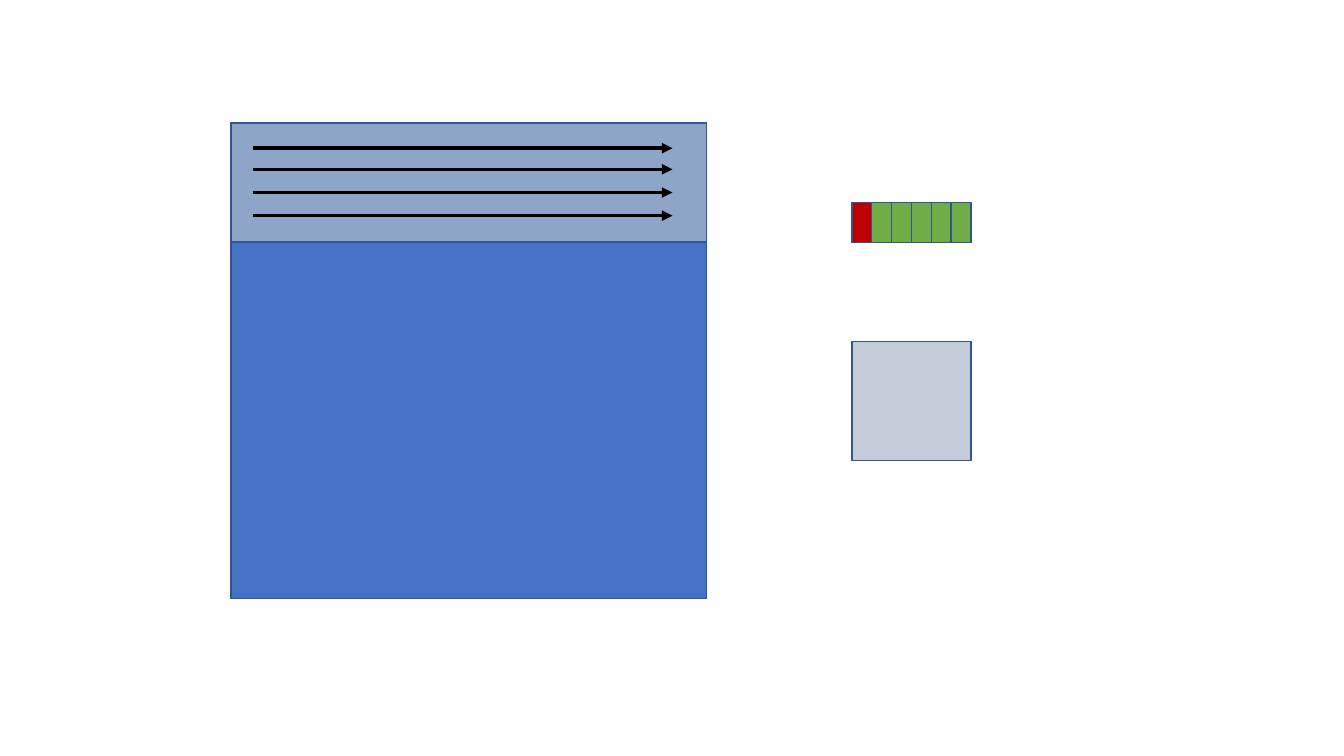
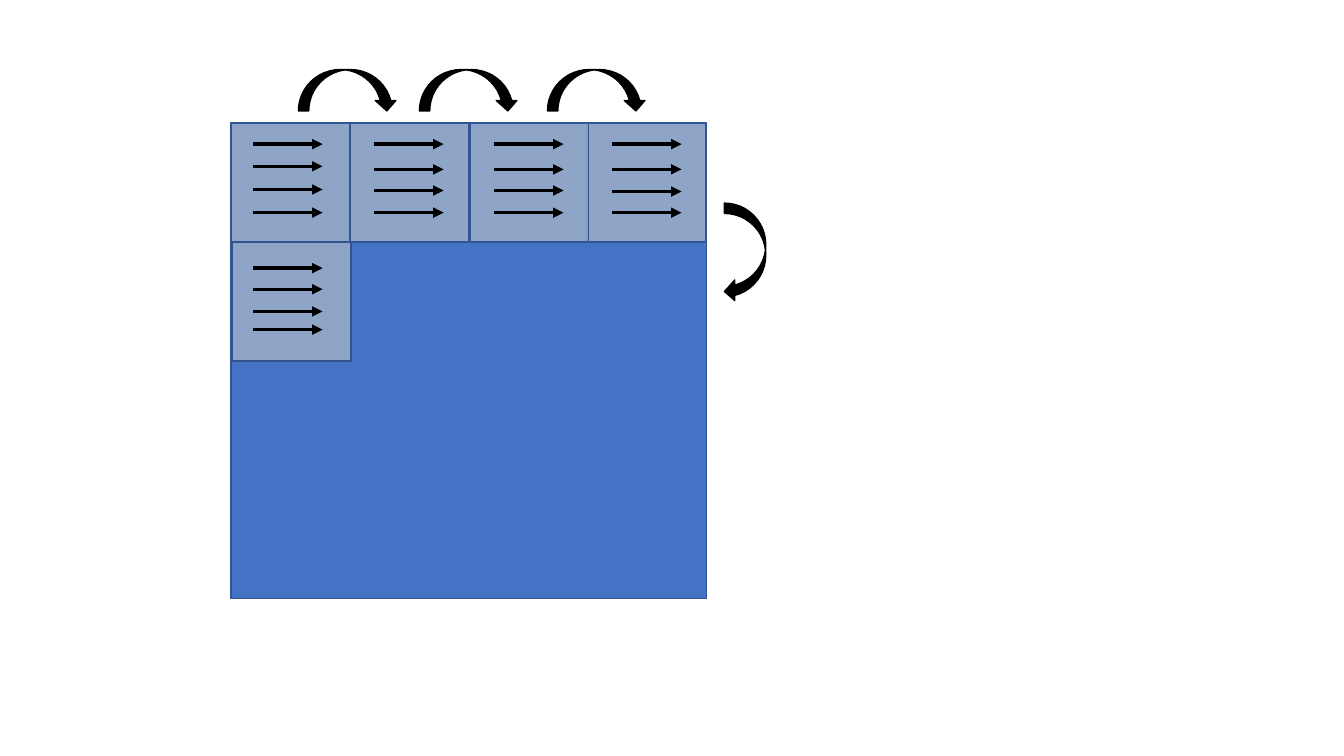
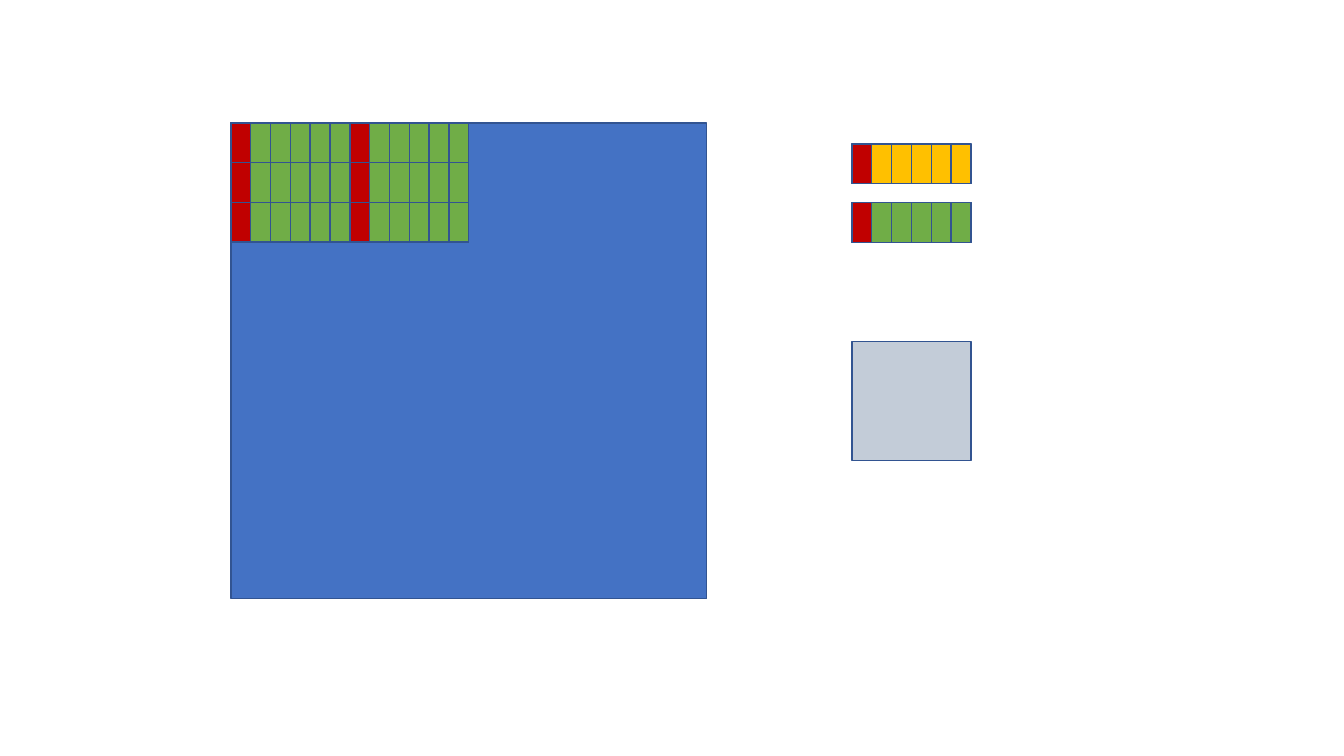
from dataclasses import dataclass

import lxml.etree
import pptx
import pptx.dml.color
import pptx.enum.shapes
import pptx.oxml.ns
import pptx.shapes.autoshape
import pptx.slide
import pptx.util

Inches = pptx.util.Inches
RGBColor = pptx.dml.color.RGBColor
Preset = pptx.enum.shapes.MSO_SHAPE
qn = pptx.oxml.ns.qn

BLUE = RGBColor(0x44, 0x72, 0xC4)
OUTLINE = RGBColor(0x32, 0x54, 0x91)
GREY = RGBColor(0xAD, 0xB9, 0xCA)
RED = RGBColor(0xC0, 0x00, 0x00)
GREEN = RGBColor(0x70, 0xAD, 0x47)
AMBER = RGBColor(0xFF, 0xC0, 0x00)
BLACK = RGBColor(0x00, 0x00, 0x00)

MATRIX_LEFT, MATRIX_TOP = 2.29, 1.22
TILE = 1.18
MATRIX_SIZE = 4 * TILE
STRIP_CELLS = 6
CELL_WIDTH = TILE / STRIP_CELLS
STRIP_HEIGHT = TILE / 3
LEGEND_LEFT = 8.45
GREY_OPACITY = 72


@dataclass(frozen=True)
class Box:
    left: float
    top: float
    width: float
    height: float


@dataclass(frozen=True)
class ScannedTile:
    left: float
    top: float
    scan_left: float
    scan_rows: tuple[float, ...]


@dataclass(frozen=True)
class Hop:
    left: float
    top: float
    rotation: float = 0


SCANNED_TILES = (
    ScannedTile(2.29, 1.22, 2.51, (1.43, 1.65, 1.88, 2.11)),
    ScannedTile(3.47, 1.22, 3.71, (1.43, 1.68, 1.89, 2.11)),
    ScannedTile(2.3, 2.4, 2.51, (2.66, 2.87, 3.09, 3.27)),
    ScannedTile(5.82, 1.22, 6.07, (1.43, 1.68, 1.9, 2.11)),
    ScannedTile(4.66, 1.22, 4.9, (1.43, 1.68, 1.89, 2.11)),
)
HOPS = (Hop(2.96, 0.69), Hop(4.16, 0.69), Hop(5.43, 0.69), Hop(6.9, 2.3, 90))


def draw_shape(
    slide: pptx.slide.Slide,
    box: Box,
    fill: RGBColor,
    outline: RGBColor = OUTLINE,
    preset: Preset = Preset.RECTANGLE,
) -> pptx.shapes.autoshape.Shape:
    shape = slide.shapes.add_shape(
        preset, Inches(box.left), Inches(box.top), Inches(box.width), Inches(box.height)
    )
    shape.shadow.inherit = False
    shape.fill.solid()
    shape.fill.fore_color.rgb = fill
    shape.line.color.rgb = outline
    shape.line.width = pptx.util.Pt(1)
    return shape


def draw_block(slide: pptx.slide.Slide, box: Box) -> None:
    block = draw_shape(slide, box, GREY)
    color = block.fill._xPr.find(qn("a:solidFill"))[0]
    lxml.etree.SubElement(color, qn("a:alpha"), val=str(GREY_OPACITY * 1000))


def draw_matrix(slide: pptx.slide.Slide) -> None:
    draw_shape(slide, Box(MATRIX_LEFT, MATRIX_TOP, MATRIX_SIZE, MATRIX_SIZE), BLUE)


def draw_legend_block(slide: pptx.slide.Slide) -> None:
    draw_block(slide, Box(LEGEND_LEFT, 3.39, TILE, TILE))


def draw_strip(
    slide: pptx.slide.Slide, left: float, top: float, rest: RGBColor = GREEN
) -> None:
    draw_shape(slide, Box(left, top, TILE, STRIP_HEIGHT), BLUE)
    for index in range(STRIP_CELLS):
        cell = Box(left + index * CELL_WIDTH, top, CELL_WIDTH, STRIP_HEIGHT)
        draw_shape(slide, cell, rest if index else RED)


def draw_scan(
    slide: pptx.slide.Slide, left: float, length: float, rows: tuple[float, ...]
) -> None:
    for row in rows:
        arrow = slide.shapes.add_connector(
            pptx.enum.shapes.MSO_CONNECTOR.STRAIGHT,
            Inches(left), Inches(row), Inches(left + length), Inches(row),
        )
        arrow.line.color.rgb = BLACK
        arrow.line.width = pptx.util.Pt(2.5)
        lxml.etree.SubElement(arrow.line._ln, qn("a:tailEnd"), type="triangle")
        lxml.etree.SubElement(arrow._element.spPr, qn("a:effectLst"))


def build_row_scan(slide: pptx.slide.Slide) -> None:
    draw_matrix(slide)
    draw_legend_block(slide)
    draw_strip(slide, LEGEND_LEFT, 2.01)
    draw_block(slide, Box(MATRIX_LEFT, MATRIX_TOP, MATRIX_SIZE, TILE))
    draw_scan(slide, 2.51, 4.16, (1.47, 1.68, 1.91, 2.14))


def build_tile_scan(slide: pptx.slide.Slide) -> None:
    draw_matrix(slide)
    for tile in SCANNED_TILES:
        draw_block(slide, Box(tile.left, tile.top, TILE, TILE))
    for tile in SCANNED_TILES:
        draw_scan(slide, tile.scan_left, 0.69, tile.scan_rows)
    for hop in HOPS:
        curve = draw_shape(
            slide, Box(hop.left, hop.top, 0.98, 0.41), BLACK, BLACK,
            Preset.CURVED_DOWN_ARROW,
        )
        curve.rotation = hop.rotation


def build_strip_layout(slide: pptx.slide.Slide) -> None:
    draw_matrix(slide)
    draw_legend_block(slide)
    for column in range(2):
        for row in range(3):
            draw_strip(
                slide, MATRIX_LEFT + column * TILE, MATRIX_TOP + row * STRIP_HEIGHT
            )
    draw_strip(slide, LEGEND_LEFT, 2.01)
    draw_strip(slide, LEGEND_LEFT, 1.43, AMBER)


def main() -> None:
    deck = pptx.Presentation()
    deck.slide_width = Inches(13.33)
    deck.slide_height = Inches(7.5)
    blank = deck.slide_layouts.get_by_name("Blank")
    for build in (build_row_scan, build_tile_scan, build_strip_layout):
        build(deck.slides.add_slide(blank))
    deck.save("out.pptx")


main()
